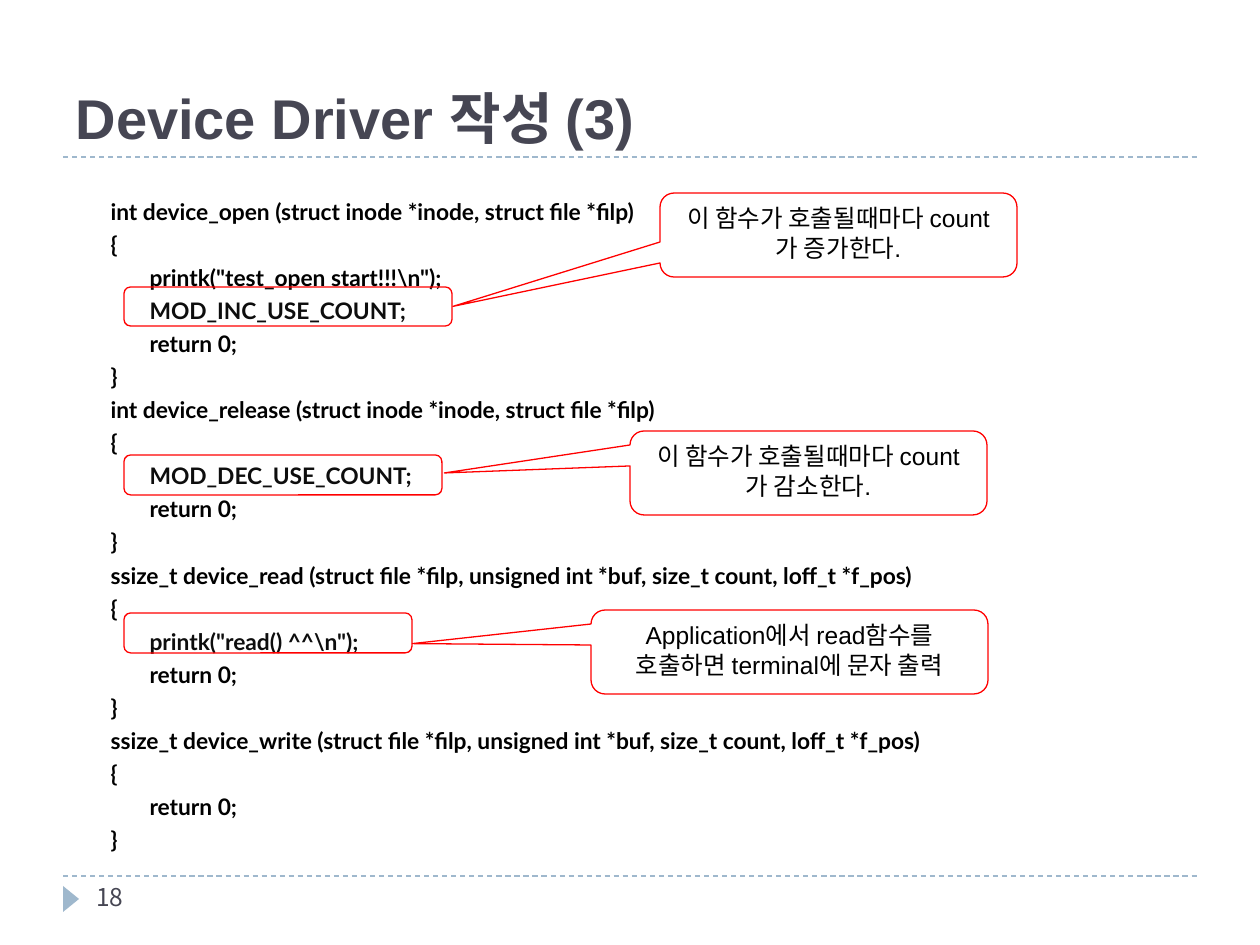
from lxml.etree import SubElement
from pptx import Presentation
from pptx.dml.color import RGBColor
from pptx.enum.dml import MSO_LINE
from pptx.enum.shapes import MSO_CONNECTOR, MSO_SHAPE
from pptx.enum.text import MSO_ANCHOR, MSO_AUTO_SIZE, PP_ALIGN
from pptx.oxml.ns import qn
from pptx.util import Pt

SCALE = 914400 / 126  # EMU in one px
ACCENT, DARK, RED, BLACK, WHITE = "9FB8CD", "464653", "FF0000", "000000", "FFFFFF"


def emu(*lengths):
    """Turn px lengths into EMU."""
    return [round(length * SCALE) for length in lengths]


def write(para, text, color, **font_format):
    span = para.add_run()
    span.text = text
    span.font.color.rgb = RGBColor.from_string(color)
    for name, value in font_format.items():
        setattr(span.font, name, value)


deck = Presentation()
deck.slide_width, deck.slide_height = emu(1260, 945)
page = deck.slides.add_slide(deck.slide_layouts[1])
title, body = page.placeholders

# Dashed rules and the page number marker
for y in (876, 157):
    rule = page.shapes.add_connector(MSO_CONNECTOR.STRAIGHT, *emu(63, y, 1197, y))
    rule.line.color.rgb = RGBColor.from_string(ACCENT)
    rule.line.width = Pt(0.75)
    rule.line.dash_style = MSO_LINE.DASH
    SubElement(rule._element.spPr, qn("a:effectLst"))

marker = page.shapes.add_shape(MSO_SHAPE.ISOSCELES_TRIANGLE, *emu(58, 891, 26, 16))
marker.rotation = 90
marker.shadow.inherit = False
marker.fill.solid()
marker.fill.fore_color.rgb = RGBColor.from_string(ACCENT)
marker.line.fill.background()

number = page.shapes.add_textbox(*emu(84, 876, 273, 50))
number.text_frame.word_wrap = True
write(number.text_frame.paragraphs[0], "18", DARK, size=Pt(14), name="Noto Sans CJK KR")

# Title
title.left, title.top, title.width, title.height = emu(63, 21, 1134, 136)
title.text_frame.auto_size = MSO_AUTO_SIZE.NONE
title.text_frame.vertical_anchor = MSO_ANCHOR.BOTTOM
heading = title.text_frame.paragraphs[0]
heading.alignment = PP_ALIGN.LEFT
write(heading, "Device Driver 작성 (3)", DARK, size=Pt(32), name="Arial", bold=True)

# Source code, one paragraph a line
CODE = r"""int device_open (struct inode *inode, struct file *filp)
{
    printk("test_open start!!!\n");
    MOD_INC_USE_COUNT;
    return 0;
}
int device_release (struct inode *inode, struct file *filp)
{
    MOD_DEC_USE_COUNT;
    return 0;
}
ssize_t device_read (struct file *filp, unsigned int *buf, size_t count, loff_t *f_pos)
{
    printk("read() ^^\n");
    return 0;
}
ssize_t device_write (struct file *filp, unsigned int *buf, size_t count, loff_t *f_pos)
{
    return 0;
}"""

body.left, body.top, body.width, body.height = emu(35, 191, 1091, 668)
body.text_frame.auto_size = MSO_AUTO_SIZE.NONE
body.text_frame.vertical_anchor = MSO_ANCHOR.TOP
margin, indent = emu(102, -39)
for index, line in enumerate(CODE.splitlines()):
    para = body.text_frame.add_paragraph() if index else body.text_frame.paragraphs[0]
    para.space_before, para.space_after = Pt(0), Pt(3.3)
    properties = para._p.get_or_add_pPr()
    properties.set("marL", str(margin))
    properties.set("indent", str(indent))
    SubElement(properties, qn("a:buNone"))
    write(para, line.replace("    ", "\t"), BLACK, size=Pt(13), name="Lato", bold=True)

# Each highlighted statement with its callout: frame, balloon, pointer, text
NOTES = [
    ((124, 287, 328, 39), (660, 193, 357, 84), (-1.08, 0.85),
     "이 함수가 호출될때마다 count가 증가한다."),
    ((124, 455, 318, 40), (630, 431, 357, 84), (-1.02, 0),
     "이 함수가 호출될때마다 count가 감소한다."),
    ((124, 613, 288, 40), (591, 610, 397, 84), (-0.95, -0.1),
     "Application에서 read함수를 호출하면 terminal에 문자 출력"),
]
for frame_box, balloon_box, pointer, text in NOTES:
    frame = page.shapes.add_shape(MSO_SHAPE.FLOWCHART_ALTERNATE_PROCESS, *emu(*frame_box))
    balloon = page.shapes.add_shape(MSO_SHAPE.ROUNDED_RECTANGULAR_CALLOUT, *emu(*balloon_box))
    for shape in (frame, balloon):
        shape.shadow.inherit = False
        shape.fill.solid()
        shape.fill.fore_color.rgb = RGBColor.from_string(WHITE)
        shape.line.color.rgb = RGBColor.from_string(RED)
        shape.line.width = Pt(0.75)
    fill_color = frame._element.spPr.find(qn("a:solidFill")).find(qn("a:srgbClr"))
    SubElement(fill_color, qn("a:alpha"), val="5000")
    balloon.adjustments[0], balloon.adjustments[1] = pointer
    balloon.text_frame.word_wrap = True
    balloon.text_frame.vertical_anchor = MSO_ANCHOR.TOP
    para = balloon.text_frame.paragraphs[0]
    para.alignment = PP_ALIGN.CENTER
    write(para, text, BLACK, size=Pt(14), name="Arial")

deck.save("out.pptx")
